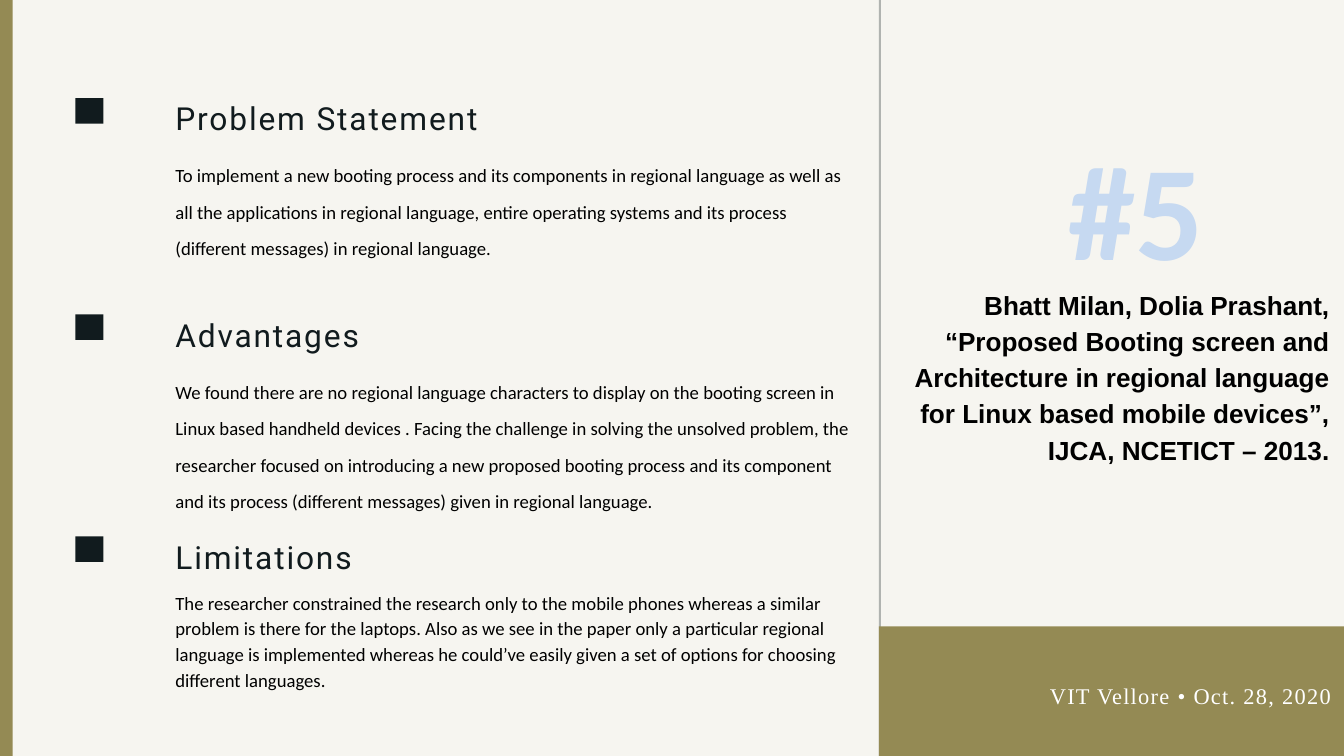
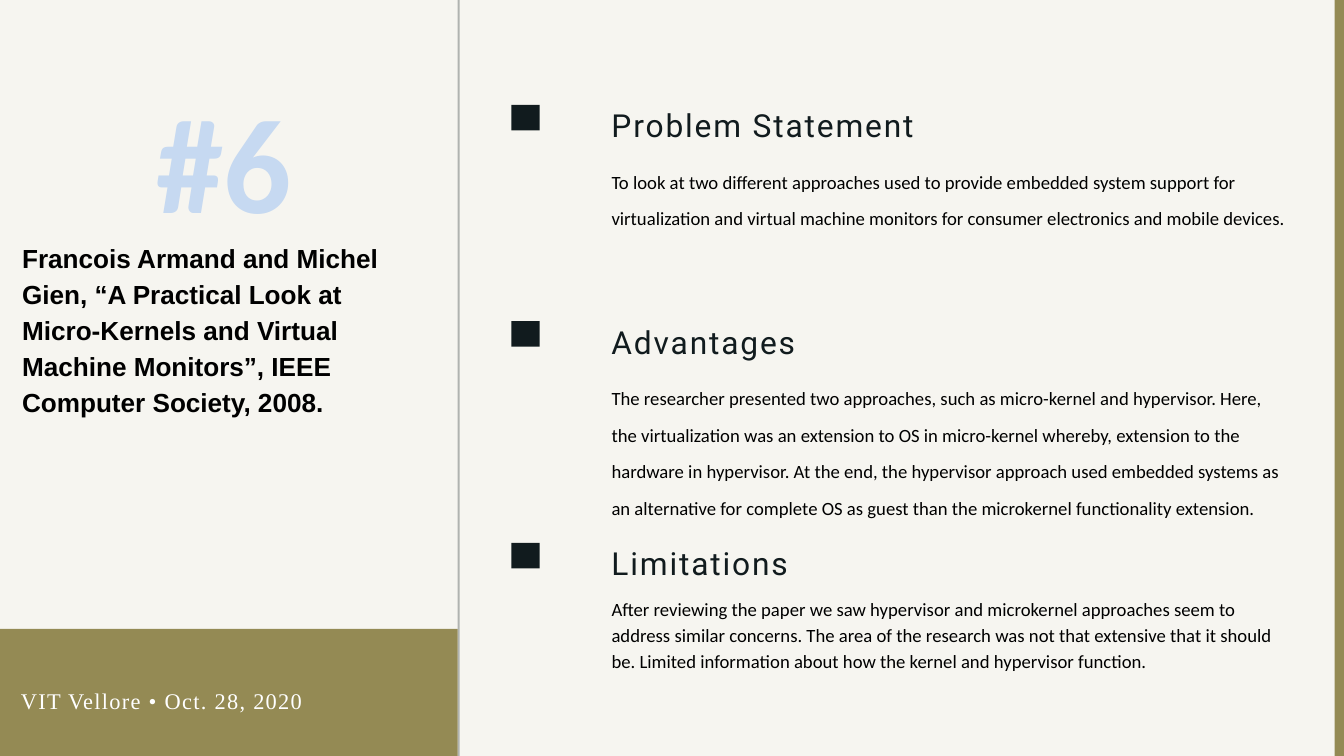
"""Build two paper review slides with a citation panel and three findings."""
from dataclasses import dataclass, field

from lxml.etree import SubElement
from pptx import Presentation
from pptx.dml.color import RGBColor
from pptx.enum.shapes import MSO_SHAPE
from pptx.enum.text import MSO_AUTO_SIZE, PP_ALIGN
from pptx.oxml.ns import qn
from pptx.util import Inches, Pt


def style(face, size, color, line, track=0, bold=False):
    return {
        "font": {"name": face, "size": Pt(size), "bold": bold},
        "color": color,
        "line": line,
        "track": track,
    }


@dataclass(frozen=True)
class Theme:
    paper: str = "F6F5F0"
    ink: str = "111B1E"
    olive: str = "948A54"
    head: dict = field(default_factory=lambda: style("Roboto", 34, "111B1E", Pt(44.2), 2))
    body: dict = field(default_factory=lambda: style("Calibri", 20, "000000", Pt(39.2)))
    tight: dict = field(default_factory=lambda: style("Calibri", 20, "000000", 1.15))
    cite: dict = field(default_factory=lambda: style("Arial", 28, "000000", 1.15, bold=True))
    number: dict = field(default_factory=lambda: style("Calibri", 144, "C6D9F1", 1.0, bold=True))
    footer: dict = field(
        default_factory=lambda: style("Times New Roman", 24, "FFFFFF", Pt(33.6), 1.4))


THEME = Theme()
HEADS = ("Problem Statement", "Advantages", "Limitations")
DROPS = (0, 3.22, 6.52)
FOOTER = "VIT Vellore • Oct. 28, 2020"

PAPERS = (
    {
        "number": "#5",
        "number_at": (15.4, 1.88, 3, 2.44),
        "cite": "Bhatt Milan, Dolia Prashant, “Proposed Booting screen and Architecture in "
                "regional language for Linux based mobile devices”, IJCA, NCETICT – 2013.",
        "cite_at": (13.17, 4.24, 6.61, 2.68),
        "align": PP_ALIGN.RIGHT,
        "rule": (13.08, -0.65),
        "band": (13.08, 9.32),
        "edge": (-0.54, -0.69),
        "footer": (12.42, 10.09),
        "list": (1.12, 1.46),
        "notes": (
            ("To implement a new booting process and its components in regional language as "
             "well as all the applications in regional language, entire operating systems and "
             "its process (different messages) in regional language.", 1.58),
            ("We found there are no regional language characters to display on the booting "
             "screen in Linux based handheld devices . Facing the challenge in solving the "
             "unsolved problem, the researcher focused on introducing a new proposed booting "
             "process and its component and its process (different messages) given in regional "
             "language.", 2.13),
            ("The researcher constrained the research only to the mobile phones whereas a "
             "similar problem is there for the laptops. Also as we see in the paper only a "
             "particular regional language is implemented whereas he could’ve easily given a "
             "set of options for choosing different languages.", 1.53),
        ),
    },
    {
        "number": "#6",
        "number_at": (1.84, 1.17, 3, 2.44),
        "cite": "Francois Armand and Michel Gien, “A Practical Look at Micro-Kernels and "
                "Virtual Machine Monitors”, IEEE Computer Society, 2008.",
        "cite_at": (0.33, 3.53, 5.8, 2.14),
        "align": PP_ALIGN.LEFT,
        "rule": (6.81, -0.72),
        "band": (-3.83, 9.36),
        "edge": (19.86, -1.31),
        "footer": (-2.89, 10.16),
        "list": (7.61, 1.56),
        "notes": (
            ("To look at two different approaches used to provide embedded system support for "
             "virtualization and virtual machine monitors for consumer electronics and mobile "
             "devices.", 1.03),
            ("The researcher presented two approaches, such as micro-kernel and hypervisor. "
             "Here, the virtualization was an extension to OS in micro-kernel whereby, "
             "extension to the hardware in hypervisor. At the end, the hypervisor approach used "
             "embedded systems as an alternative for complete OS as guest than the microkernel "
             "functionality extension.", 2.13),
            ("After reviewing the paper we saw hypervisor and microkernel approaches seem to "
             "address similar concerns. The area of the research was not that extensive that it "
             "should be. Limited information about how the kernel and hypervisor function.", 1.14),
        ),
    },
)


def add_block(slide, spot, color, alpha=None):
    block = slide.shapes.add_shape(MSO_SHAPE.RECTANGLE, *map(Inches, spot))
    block.shadow.inherit = False
    block.fill.solid()
    block.fill.fore_color.rgb = RGBColor.from_string(color)
    block.line.fill.background()
    if alpha:
        tint = next(block.element.iter(qn("a:srgbClr")))
        SubElement(tint, qn("a:alpha"), val=str(alpha * 1000))


def add_text(slide, spot, text, look, align=PP_ALIGN.LEFT):
    frame = slide.shapes.add_textbox(*map(Inches, spot)).text_frame
    layout = {"word_wrap": True, "auto_size": MSO_AUTO_SIZE.SHAPE_TO_FIT_TEXT}
    layout.update({f"margin_{side}": 0 for side in ("left", "top", "right", "bottom")})
    for key, value in layout.items():
        setattr(frame, key, value)
    line = frame.paragraphs[0]
    line.alignment = align
    line.line_spacing = look["line"]
    run = line.add_run()
    run.text = text
    for key, value in look["font"].items():
        setattr(run.font, key, value)
    run.font.color.rgb = RGBColor.from_string(look["color"])
    if look["track"]:
        run._r.get_or_add_rPr().set("spc", str(round(look["track"] * 100)))


def add_notes(slide, paper):
    left, start = paper["list"]
    looks = (THEME.body, THEME.body, THEME.tight)
    for head, drop, (text, height), look in zip(HEADS, DROPS, paper["notes"], looks):
        top = start + drop
        add_block(slide, (left, top, 0.42, 0.38), THEME.ink)
        add_text(slide, (left + 1.49, top - 0.03, 6.14, 0.59), head, THEME.head)
        add_text(slide, (left + 1.49, top + 0.77, 10.05, height), text, look)


def add_panel(slide, paper):
    add_block(slide, (*paper["rule"], 0.03, 12.7), THEME.ink, alpha=30)
    add_block(slide, (*paper["band"], 10.64, 2.52), THEME.olive)
    add_block(slide, (*paper["edge"], 0.73, 12.56), THEME.olive)
    add_text(slide, paper["number_at"], paper["number"], THEME.number, PP_ALIGN.CENTER)
    add_text(slide, paper["cite_at"], paper["cite"], THEME.cite, paper["align"])
    add_text(slide, (*paper["footer"], 7.39, 0.45), FOOTER, THEME.footer, PP_ALIGN.RIGHT)


def main():
    deck = Presentation()
    deck.slide_width, deck.slide_height = Inches(20), Inches(11.25)
    for paper in PAPERS:
        slide = deck.slides.add_slide(deck.slide_layouts[6])
        slide.background.fill.solid()
        slide.background.fill.fore_color.rgb = RGBColor.from_string(THEME.paper)
        add_panel(slide, paper)
        add_notes(slide, paper)
    deck.save("out.pptx")


if __name__ == "__main__":
    main()
